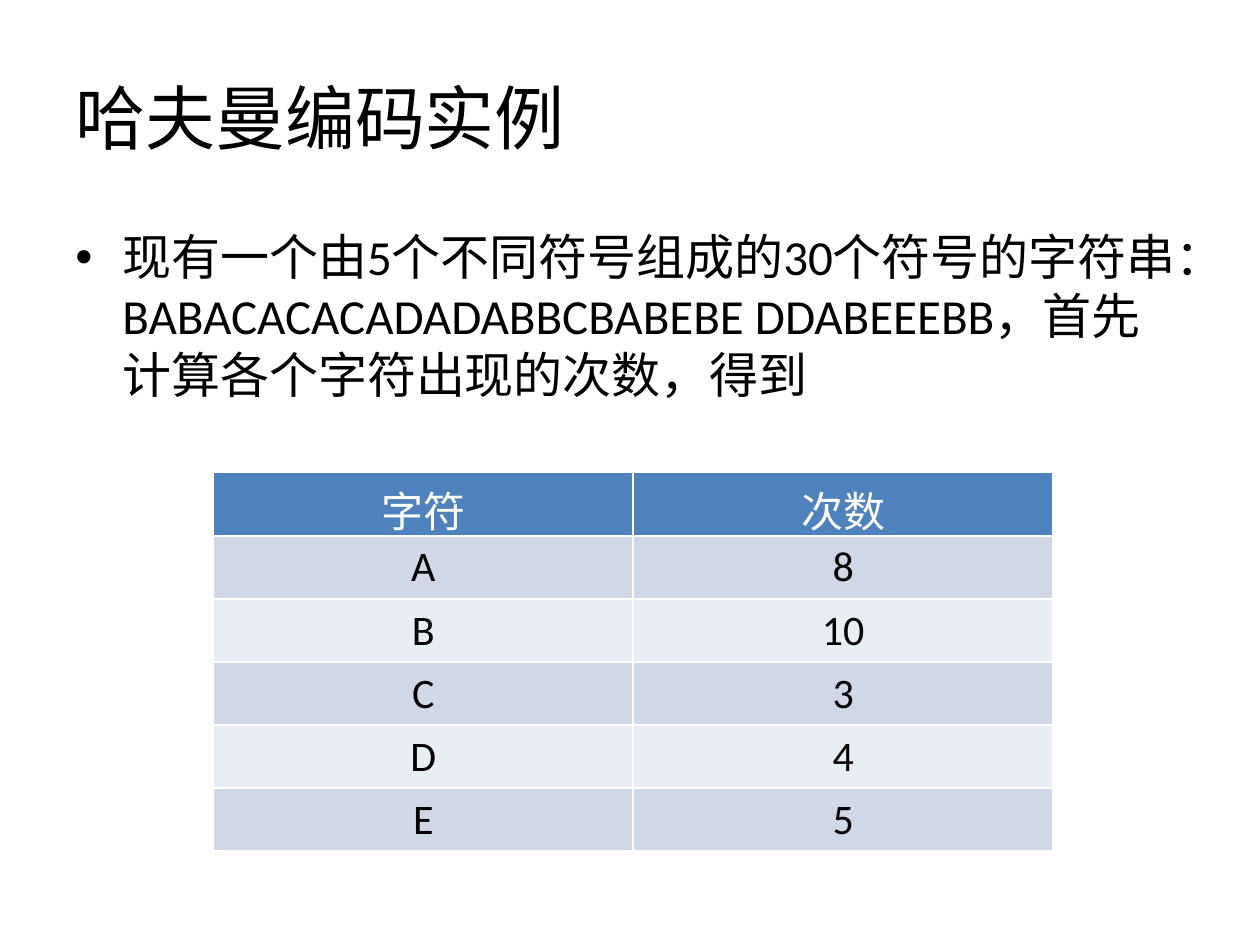
from pptx import Presentation
from pptx import util as u
from pptx.dml.color import RGBColor
from pptx.enum import text
from pptx.oxml import parse_xml
from pptx.oxml.ns import nsdecls

BLACK = RGBColor(0x00, 0x00, 0x00)
WHITE = RGBColor(0xFF, 0xFF, 0xFF)
HEADER = RGBColor(0x4F, 0x81, 0xBD)
BANDS = (RGBColor(0xD0, 0xD8, 0xE8), RGBColor(0xE9, 0xED, 0xF4))
FONT = "Calibri"
COUNTS = [("字符", "次数"), ("A", "8"), ("B", "10"), ("C", "3"), ("D", "4"), ("E", "5")]
QUESTION = (
    "现有一个由5个不同符号组成的30个符号的字符串："
    "BABACACACADADABBCBABEBE DDABEEEBB，首先计算各个字符出现的次数，得到"
)


def write(tf, words, size, color=BLACK, align=text.PP_ALIGN.LEFT):
    """Write one formatted paragraph into a text frame and return it."""
    p = tf.paragraphs[0]
    p.alignment = align
    r = p.add_run()
    r.text = words
    r.font.name = FONT
    r.font.size = u.Pt(size)
    r.font.color.rgb = color
    return p


def add_box(s, box, anchor):
    """Add a wrapping text box and return its text frame."""
    tf = s.shapes.add_textbox(*box).text_frame
    tf.word_wrap = True
    tf.vertical_anchor = anchor
    return tf


def add_title(s, box, words):
    """Place the slide title, centred vertically in its box."""
    write(add_box(s, box, text.MSO_ANCHOR.MIDDLE), words, 40)


def add_body(s, box, words):
    """Place the bulleted statement at the top of its box."""
    p = write(add_box(s, box, text.MSO_ANCHOR.TOP), words, 28)
    p.space_before = u.Pt(5.6)
    pPr = p._p.get_or_add_pPr()
    indent = u.Cm(0.95)
    pPr.set("marL", str(indent))
    pPr.set("indent", str(-indent))
    pPr.append(parse_xml(f'<a:buFont {nsdecls("a")} typeface="Arial"/>'))
    pPr.append(parse_xml(f'<a:buChar {nsdecls("a")} char="•"/>'))


def add_counts(s, box, rows):
    """Place the banded table of symbol counts."""
    left, top, width, row_height = box
    table = s.shapes.add_table(
        len(rows), len(rows[0]), left, top, width, row_height * len(rows)
    ).table
    for i, row in enumerate(rows):
        table.rows[i].height = row_height
        for j, words in enumerate(row):
            cell = table.cell(i, j)
            cell.fill.solid()
            cell.fill.fore_color.rgb = BANDS[(i - 1) % 2] if i else HEADER
            p = write(cell.text_frame, words, 24, BLACK if i else WHITE,
                      text.PP_ALIGN.CENTER)
            p.runs[0].font.bold = False


def main():
    """Build the Huffman coding slide and save it."""
    prs = Presentation()
    prs.slide_width, prs.slide_height = u.Cm(25.4), u.Cm(19.05)
    s = prs.slides.add_slide(prs.slide_layouts[6])
    left, width = u.Cm(1.27), u.Cm(22.86)
    add_title(s, (left, u.Cm(0.76), width, u.Cm(3.18)), "哈夫曼编码实例")
    add_body(s, (left, u.Cm(4.45), width, u.Cm(12.57)), QUESTION)
    add_counts(s, (u.Cm(4.3), u.Cm(9.53), u.Cm(16.93), u.Cm(1.03)), COUNTS)
    prs.save("out.pptx")


if __name__ == "__main__":
    main()
